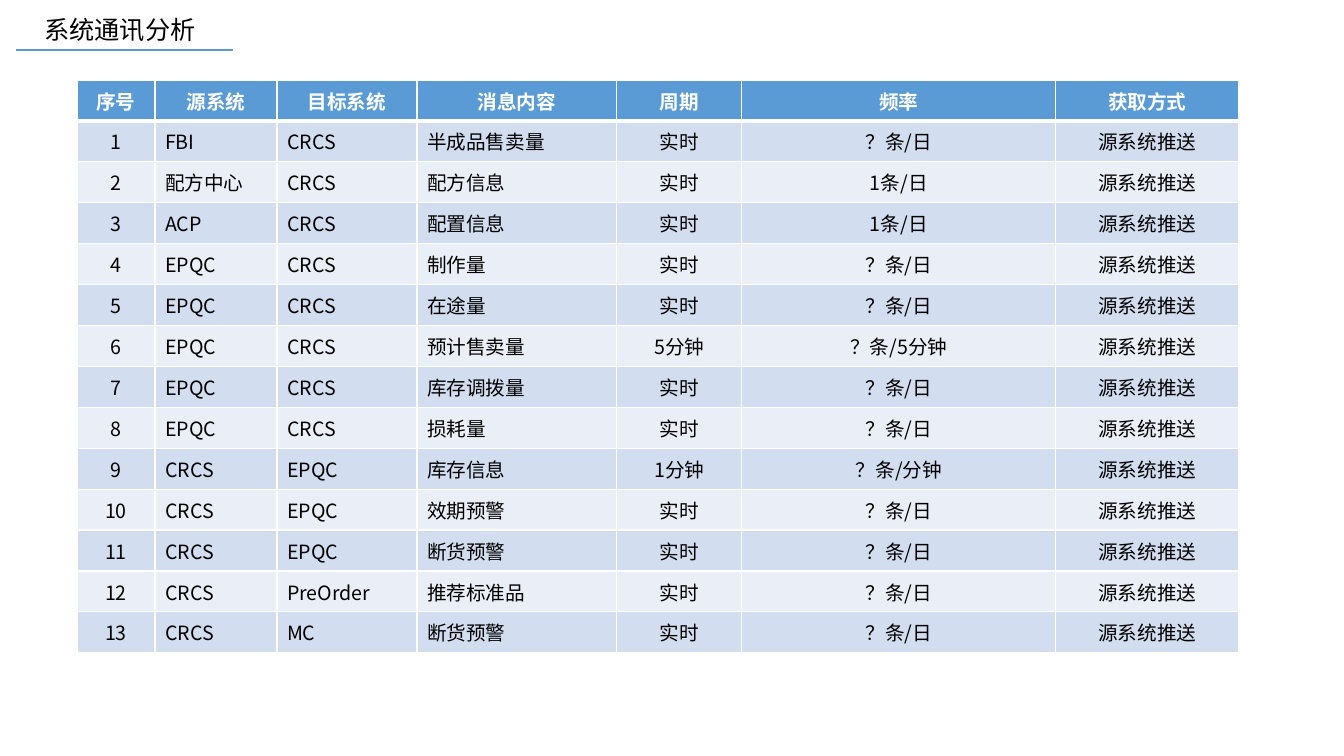
from lxml.etree import SubElement
from pptx import Presentation
from pptx.dml.color import RGBColor
from pptx.enum.shapes import MSO_CONNECTOR
from pptx.enum.text import MSO_ANCHOR, MSO_AUTO_SIZE, PP_ALIGN
from pptx.oxml.ns import qn
from pptx.util import Pt

TITLE = "系统通讯分析"
HEADS = ["序号", "源系统", "目标系统", "消息内容", "周期", "频率", "获取方式"]
MODE = "源系统推送"
FLOWS = [
    ("FBI", "CRCS", "半成品售卖量", "实时", "？条/日"),
    ("配方中心", "CRCS", "配方信息", "实时", "1条/日"),
    ("ACP", "CRCS", "配置信息", "实时", "1条/日"),
    ("EPQC", "CRCS", "制作量", "实时", "？条/日"),
    ("EPQC", "CRCS", "在途量", "实时", "？条/日"),
    ("EPQC", "CRCS", "预计售卖量", "5分钟", "？条/5分钟"),
    ("EPQC", "CRCS", "库存调拨量", "实时", "？条/日"),
    ("EPQC", "CRCS", "损耗量", "实时", "？条/日"),
    ("CRCS", "EPQC", "库存信息", "1分钟", "？条/分钟"),
    ("CRCS", "EPQC", "效期预警", "实时", "？条/日"),
    ("CRCS", "EPQC", "断货预警", "实时", "？条/日"),
    ("CRCS", "PreOrder", "推荐标准品", "实时", "？条/日"),
    ("CRCS", "MC", "断货预警", "实时", "？条/日"),
]
COLORS = {"blue": "5B9BD5", "odd": "D2DEEF", "even": "EAEFF7",
          "white": "FFFFFF", "black": "000000"}
FONT = "Noto Sans CJK SC"
WIDTHS = [78, 122, 140, 200, 125, 314, 183]
LEFT, TOP, HEIGHT = 77, 80, 573
LEFT_COLS = (1, 2, 3)
SCALE = 914400 / 100.8


def px(n):
    return round(n * SCALE)


def color(name):
    return RGBColor.from_string(COLORS[name])


def write(frame, text, size=14, tint="black", bold=False, align=PP_ALIGN.CENTER):
    para = frame.paragraphs[0]
    para.alignment = align
    run = para.add_run()
    run.text = text
    font = run.font
    font.size, font.bold, font.name = Pt(size), bold, FONT
    font.color.rgb = color(tint)
    SubElement(font._element, qn("a:ea"), typeface=FONT)


def edge(cell, **widths):
    """Draw white cell borders, widths in points by side."""
    props = cell._tc.get_or_add_tcPr()
    for side in "LRTB":
        line = SubElement(props, qn(f"a:ln{side}"), w=str(Pt(widths.get(side, 1))))
        fill = SubElement(line, qn("a:solidFill"))
        SubElement(fill, qn("a:srgbClr"), val=COLORS["white"])


def add_title(slide):
    title = slide.shapes.title
    title.left, title.top, title.width, title.height = map(px, (16, 9, 208, 40))
    frame = title.text_frame
    frame.word_wrap = True
    frame.auto_size = MSO_AUTO_SIZE.SHAPE_TO_FIT_TEXT
    frame.vertical_anchor = MSO_ANCHOR.MIDDLE
    write(frame, TITLE, size=18)
    rule = slide.shapes.add_connector(
        MSO_CONNECTOR.STRAIGHT, px(16), px(50), px(233), px(50))
    rule.line.color.rgb = color("blue")
    rule.line.width = Pt(1.5)
    SubElement(rule._element.spPr, qn("a:effectLst"))


def add_grid(slide):
    rows = [HEADS] + [(str(n), *flow, MODE) for n, flow in enumerate(FLOWS, 1)]
    table = slide.shapes.add_table(
        len(rows), len(HEADS), px(LEFT), px(TOP), px(sum(WIDTHS)), px(HEIGHT)).table
    for col, width in zip(table.columns, WIDTHS):
        col.width = px(width)
    for r, row in enumerate(rows):
        table.rows[r].height = px(HEIGHT / len(rows))
        head = r == 0
        back = "blue" if head else "odd" if r % 2 else "even"
        for c, text in enumerate(row):
            cell = table.cell(r, c)
            edge(cell, B=3 if head else 1, T=3 if r == 1 else 1)
            cell.fill.solid()
            cell.fill.fore_color.rgb = color(back)
            cell.vertical_anchor = MSO_ANCHOR.MIDDLE
            start = c in LEFT_COLS and not head
            write(cell.text_frame, text, bold=head,
                  tint="white" if head else "black",
                  align=PP_ALIGN.LEFT if start else PP_ALIGN.CENTER)


def main():
    deck = Presentation()
    deck.slide_width, deck.slide_height = px(1344), px(756)
    slide = deck.slides.add_slide(deck.slide_layouts[5])
    add_title(slide)
    add_grid(slide)
    deck.save("out.pptx")


if __name__ == "__main__":
    main()
